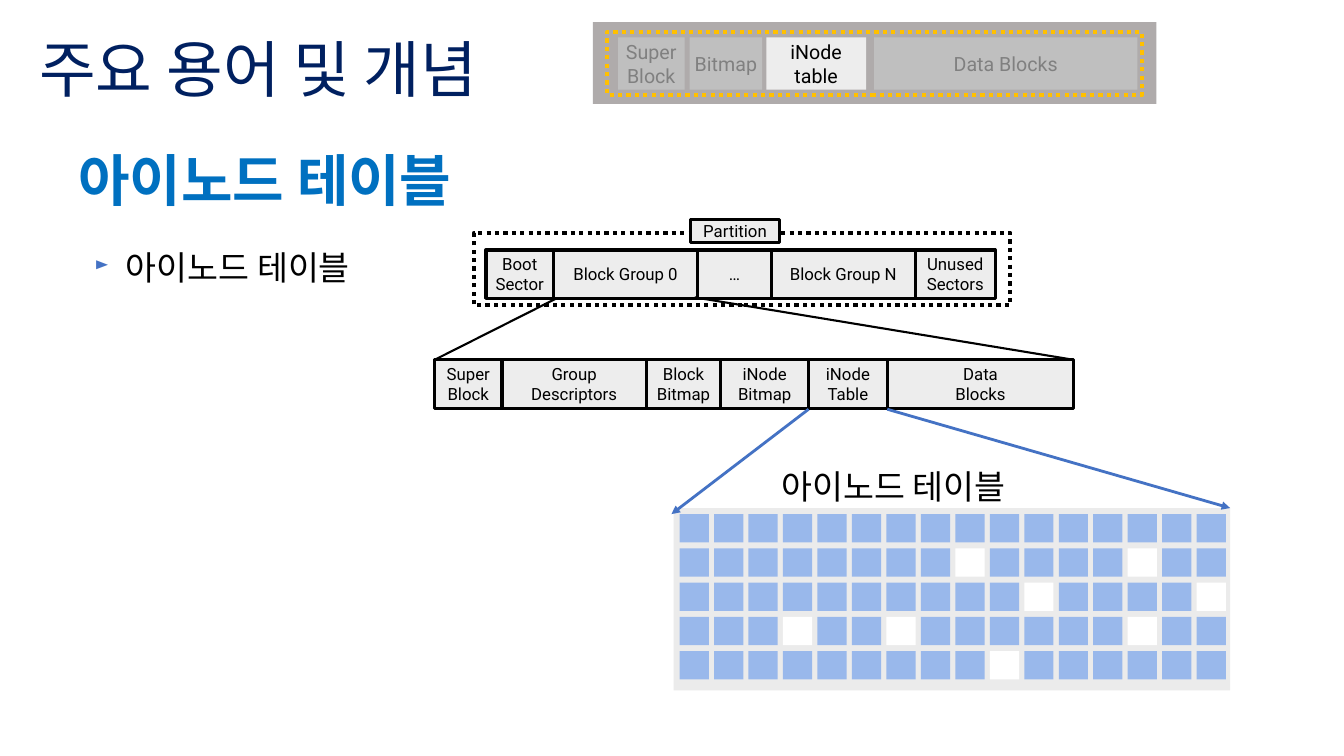
from lxml import etree
from pptx import Presentation
from pptx import util as u
from pptx.dml.color import RGBColor
from pptx.enum import dml, shapes, text
from pptx.oxml.ns import qn

BLACK = RGBColor(0, 0, 0)
WHITE = RGBColor(0xFF, 0xFF, 0xFF)
NAVY = RGBColor(0x00, 0x20, 0x60)
BLUE = RGBColor(0x00, 0x70, 0xC0)
ARROW_BLUE = RGBColor(0x44, 0x72, 0xC4)
USED_BLUE = RGBColor(0x99, 0xB8, 0xEB)
AMBER = RGBColor(0xFF, 0xC0, 0x00)
CELL_GREY = RGBColor(0xED, 0xED, 0xED)
PANEL_GREY = RGBColor(0xEB, 0xEB, 0xEB)
BAND_GREY = RGBColor(0xAF, 0xAB, 0xAB)
DIM_FILL = RGBColor(0xBF, 0xBF, 0xBF)
DIM_TEXT = RGBColor(0x80, 0x80, 0x80)

FONT = "Roboto"
INSET = 0.04
GRID_COLUMNS, GRID_ROWS = 16, 5
FREE_INODES = {(1, 8), (1, 13), (2, 10), (2, 15), (3, 3), (3, 6), (3, 13), (4, 9)}


def inches(*lengths):
    return [u.Inches(length) for length in lengths]


def add_span(para, words, size, color, font=FONT, bold=False):
    """Add one run; a line feed in words becomes a line break."""
    for number, line in enumerate(words.split("\n")):
        if number:
            para.add_line_break()
        span = para.add_run()
        span.text = line
        span.font.name = font
        span.font.size = u.Pt(size)
        span.font.bold = bold
        span.font.color.rgb = color


def add_box(page, box, fill=None, line=None, weight=2.25, dotted=False):
    rect = page.shapes.add_shape(shapes.MSO_SHAPE.RECTANGLE, *inches(*box))
    rect.shadow.inherit = False
    if fill is None:
        rect.fill.background()
    else:
        rect.fill.solid()
        rect.fill.fore_color.rgb = fill
    if line is None:
        rect.line.fill.background()
    else:
        rect.line.color.rgb = line
        rect.line.width = u.Pt(weight)
        if dotted:
            rect.line.dash_style = dml.MSO_LINE.ROUND_DOT
    return rect


def add_cell(page, box, words, size=12, color=BLACK, fill=CELL_GREY, line=BLACK):
    """Add a rectangle with a centred label."""
    frame = add_box(page, box, fill, line).text_frame
    frame.word_wrap = True
    frame.vertical_anchor = text.MSO_ANCHOR.MIDDLE
    frame.margin_left = frame.margin_right = u.Inches(INSET)
    frame.margin_top = frame.margin_bottom = u.Inches(INSET)
    para = frame.paragraphs[0]
    para.alignment = text.PP_ALIGN.CENTER
    add_span(para, words, size, color)


def add_link(page, start, end, color, weight, arrow=False):
    link = page.shapes.add_connector(
        shapes.MSO_CONNECTOR.STRAIGHT, *inches(*start, *end))
    link.line.color.rgb = color
    link.line.width = u.Pt(weight)
    if arrow:
        etree.SubElement(link.line._get_or_add_ln(), qn("a:tailEnd"), type="triangle")
    etree.SubElement(link._element.spPr, qn("a:effectLst"))


def add_text(page, box, words, size, color, spacing, font=FONT, bold=False,
             anchor=text.MSO_ANCHOR.TOP, bullet=False):
    frame = page.shapes.add_textbox(*inches(*box)).text_frame
    frame.word_wrap = True
    frame.vertical_anchor = anchor
    para = frame.paragraphs[0]
    para.line_spacing = spacing
    if bullet:
        props = para._p.get_or_add_pPr()
        props.set("marL", str(u.Inches(0.31)))
        props.set("indent", str(-u.Inches(0.31)))
        tint = etree.SubElement(props, qn("a:buClr"))
        etree.SubElement(tint, qn("a:srgbClr"), val=str(ARROW_BLUE))
        etree.SubElement(props, qn("a:buSzPct"), val="55000")
        etree.SubElement(props, qn("a:buChar"), char="►")
    add_span(para, words, size, color, font, bold)


def add_headings(page):
    add_text(page, (0.29, 0.22, 11.42, 0.99), "주요 용어 및 개념", 44, NAVY, 0.9,
             font="Cabin", anchor=text.MSO_ANCHOR.MIDDLE)
    add_text(page, (0.68, 1.52, 12.21, 0.71), "아이노드 테이블", 40, BLUE, 0.8, bold=True)
    add_text(page, (0.84, 2.2, 11.32, 4.54), "아이노드 테이블", 24, BLACK, 1.5, bullet=True)


def add_locator(page, box):
    """Show where the inode table lies in the file system."""
    left, top, width, height = box
    add_box(page, box, BAND_GREY)
    add_box(page, (left + 0.14, top + 0.1, width - 0.28, height - 0.19),
            line=AMBER, weight=3, dotted=True)
    parts = [("Super Block", 0.25, 0.66), ("Bitmap", 0.96, 0.72),
             ("iNode\ntable", 1.72, 0.99), ("Data Blocks", 2.79, 2.61)]
    for words, offset, part_width in parts:
        current = words.startswith("iNode")
        add_cell(page, (left + offset, top + 0.15, part_width, 0.52), words, 14,
                 BLACK if current else DIM_TEXT,
                 CELL_GREY if current else DIM_FILL, None)


def add_strip(page, left, top, height, parts):
    """Place labelled cells side by side and return their edges."""
    edges = [left]
    for words, width in parts:
        add_cell(page, (edges[-1], top, width, height), words)
        edges.append(edges[-1] + width)
    return edges


def add_partition(page, box):
    left, top, width, height = box
    add_box(page, box, line=BLACK, weight=3, dotted=True)
    add_cell(page, (left + 2.15, top - 0.13, 0.88, 0.23), "Partition")
    return add_strip(page, left + 0.12, top + 0.17, 0.48, [
        ("Boot\nSector", 0.67), ("Block Group 0", 1.43), ("…", 0.73),
        ("Block Group N", 1.43), ("Unused Sectors", 0.79)])


def add_block_group(page, left, top, height):
    return add_strip(page, left, top, height, [
        ("Super\nBlock", 0.67), ("Group\nDescriptors", 1.43),
        ("Block\nBitmap", 0.74), ("iNode\nBitmap", 0.87),
        ("iNode\nTable", 0.78), ("Data\nBlocks", 1.85)])


def add_inode_table(page, box):
    left, top, width, height = box
    caption = add_box(page, (left - 0.11, top - 0.4, width + 0.21, height + 0.49), WHITE)
    frame = caption.text_frame
    frame.word_wrap = True
    frame.vertical_anchor = text.MSO_ANCHOR.TOP
    frame.margin_left = u.Inches(1.18)
    frame.margin_top = u.Inches(0.06)
    para = frame.paragraphs[0]
    para.alignment = text.PP_ALIGN.LEFT
    para.line_spacing = 0.8
    add_span(para, "아이노드 테이블", 24, BLACK)

    add_box(page, box, PANEL_GREY)
    step_x, step_y = (width - 0.05) / GRID_COLUMNS, 0.34
    for row in range(GRID_ROWS):
        for column in range(GRID_COLUMNS):
            add_box(page, (left + 0.06 + column * step_x, top + 0.06 + row * step_y,
                           0.29, 0.28),
                    WHITE if (row, column) in FREE_INODES else USED_BLUE)


def main():
    deck = Presentation()
    deck.slide_width, deck.slide_height = inches(13.33, 7.5)
    page = deck.slides.add_slide(deck.slide_layouts[6])
    add_headings(page)
    add_locator(page, (5.88, 0.22, 5.59, 0.81))

    table = (6.68, 5.04, 5.52, 1.81)
    add_inode_table(page, table)
    groups = add_partition(page, (4.7, 2.31, 5.32, 0.72))
    blocks = add_block_group(page, 4.31, 3.57, 0.48)
    add_link(page, (groups[1] + 0.03, 2.96), (blocks[0], 3.57), BLACK, 1.5)
    add_link(page, (groups[2] - 0.03, 2.95), (blocks[-1], 3.57), BLACK, 1.5)
    add_link(page, (blocks[4], 4.06), (table[0] - 0.02, table[1] + 0.06),
             ARROW_BLUE, 2, arrow=True)
    add_link(page, (blocks[5], 4.06), (table[0] + table[2], table[1]),
             ARROW_BLUE, 2, arrow=True)
    deck.save("out.pptx")


if __name__ == "__main__":
    main()
